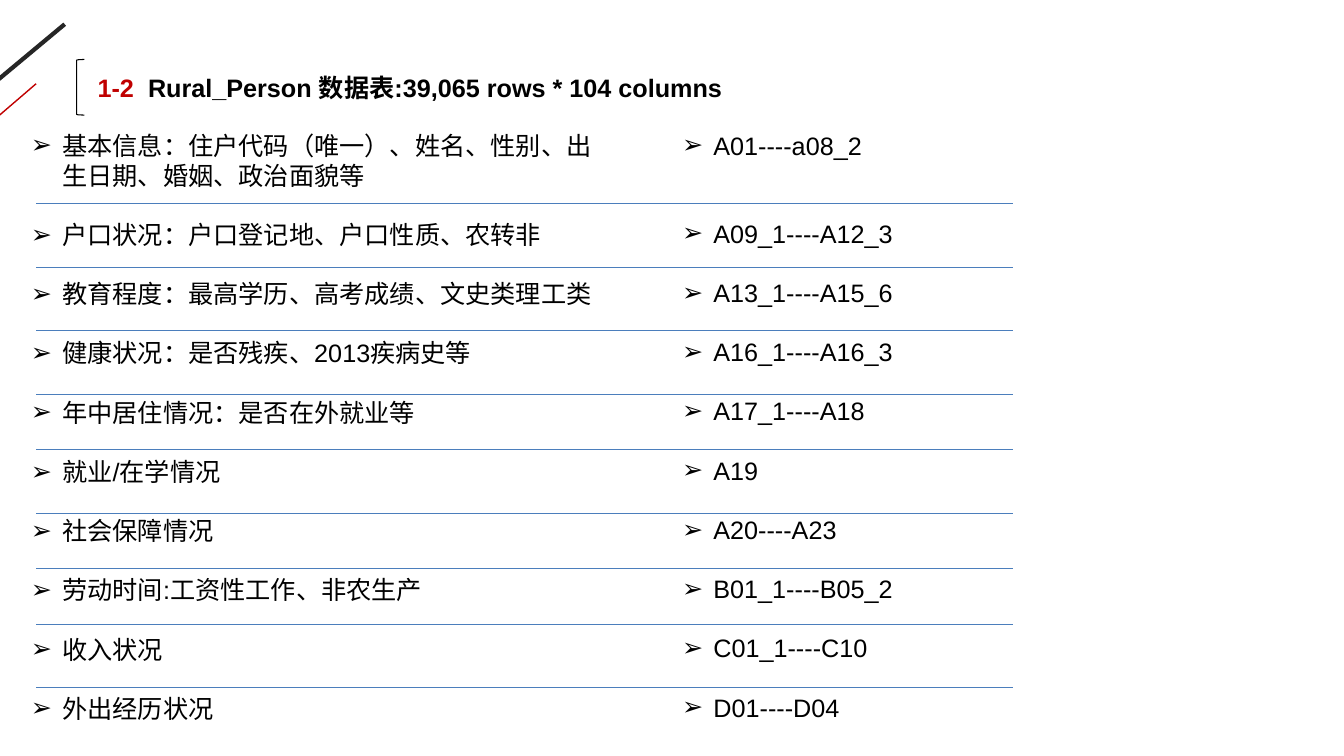
from itertools import accumulate

from lxml import etree
from pptx import Presentation
from pptx.dml.color import RGBColor
from pptx.enum.shapes import MSO_CONNECTOR, MSO_SHAPE
from pptx.oxml.ns import qn
from pptx.util import Cm, Pt

STRAIGHT = MSO_CONNECTOR.STRAIGHT
LEFT_BRACKET = MSO_SHAPE.LEFT_BRACKET

TITLE_NUMBER = "1-2  "
TITLE = "Rural_Person 数据表:39,065 rows * 104 columns"

TOPICS = [
    "基本信息：住户代码（唯一）、姓名、性别、出生日期、婚姻、政治面貌等",
    "户口状况：户口登记地、户口性质、农转非",
    "教育程度：最高学历、高考成绩、文史类理工类",
    "健康状况：是否残疾、2013疾病史等",
    "年中居住情况：是否在外就业等",
    "就业/在学情况",
    "社会保障情况",
    "劳动时间:工资性工作、非农生产",
    "收入状况",
    "外出经历状况",
]
CODES = [
    "A01----a08_2",
    "A09_1----A12_3",
    "A13_1----A15_6",
    "A16_1----A16_3",
    "A17_1----A18",
    "A19",
    "A20----A23",
    "B01_1----B05_2",
    "C01_1----C10",
    "D01----D04",
]

# Centimetres: first divider, then the step down to each next one
DIVIDER_STEPS = [5.13, 1.6, 1.6, 1.6, 1.4, 1.6, 1.4, 1.4, 1.6]
DIVIDER_LEFT, DIVIDER_RIGHT = 0.91, 25.53
LIST_TOP, LIST_WIDTH = 3.15, 15.04
TOPICS_LEFT, CODES_LEFT = 0.53, 16.94
HANGING_INDENT = Cm(0.79)

THEME = {
    "font": "Arial",
    "size": Pt(18),
    "row_gap": Pt(20.7),
    "text": RGBColor(0x00, 0x00, 0x00),
    "accent": RGBColor(0xC0, 0x00, 0x00),
    "dark": RGBColor(0x26, 0x26, 0x26),
    "divider": RGBColor(0x4B, 0x7E, 0xBC),
}


def add_line(slide, start, end, color, width):
    line = slide.shapes.add_connector(STRAIGHT, *map(Cm, start + end))
    line.line.color.rgb = color
    line.line.width = Pt(width)
    etree.SubElement(line._element.spPr, qn("a:effectLst"))


def add_text_frame(slide, left, top, width, height):
    box = slide.shapes.add_textbox(Cm(left), Cm(top), Cm(width), Cm(height))
    box.text_frame.word_wrap = True
    return box.text_frame


def add_run(paragraph, text, color, bold=False):
    run = paragraph.add_run()
    run.text = text
    run.font.name = THEME["font"]
    run.font.size = THEME["size"]
    run.font.bold = bold
    run.font.color.rgb = color


def add_bullet(paragraph):
    properties = paragraph._p.get_or_add_pPr()
    properties.set("marL", str(HANGING_INDENT))
    properties.set("indent", str(-HANGING_INDENT))
    etree.SubElement(properties, qn("a:buFont"), typeface=THEME["font"])
    etree.SubElement(properties, qn("a:buChar"), char="➢")


def add_list(slide, items, left, height, second_row_gap):
    """Bulleted column; the gap above its second row may differ from the rest."""
    frame = add_text_frame(slide, left, LIST_TOP, LIST_WIDTH, height)
    for index, item in enumerate(items):
        paragraph = frame.add_paragraph() if index else frame.paragraphs[0]
        if index:
            paragraph.space_before = second_row_gap if index == 1 else THEME["row_gap"]
        add_bullet(paragraph)
        add_run(paragraph, item, THEME["text"])


def add_heading(slide):
    add_line(slide, (1.63, 0.61), (-0.53, 2.41), THEME["dark"], 3)
    add_line(slide, (0.91, 2.11), (-0.15, 3.02), THEME["accent"], 1)
    paragraph = add_text_frame(slide, 2.21, 1.7, 16.41, 1.02).paragraphs[0]
    add_run(paragraph, TITLE_NUMBER, THEME["accent"], bold=True)
    add_run(paragraph, TITLE, THEME["text"], bold=True)
    bracket = slide.shapes.add_shape(LEFT_BRACKET, Cm(1.93), Cm(1.5), Cm(0.2), Cm(1.4))
    bracket.shadow.inherit = False
    bracket.fill.background()
    bracket.line.color.rgb = THEME["text"]
    bracket.line.width = Pt(0.75)


def main():
    presentation = Presentation()
    presentation.slide_width = Cm(33.87)
    presentation.slide_height = Cm(19.05)
    slide = presentation.slides.add_slide(presentation.slide_layouts[6])

    add_heading(slide)
    add_list(slide, TOPICS, TOPICS_LEFT, 15.65, THEME["row_gap"])
    # The first topic takes two lines, so the codes skip one more line there
    add_list(slide, CODES, CODES_LEFT, 15.65, 2 * THEME["row_gap"])
    for top in accumulate(DIVIDER_STEPS):
        add_line(slide, (DIVIDER_LEFT, top), (DIVIDER_RIGHT, top), THEME["divider"], 0.75)

    presentation.save("out.pptx")


if __name__ == "__main__":
    main()
